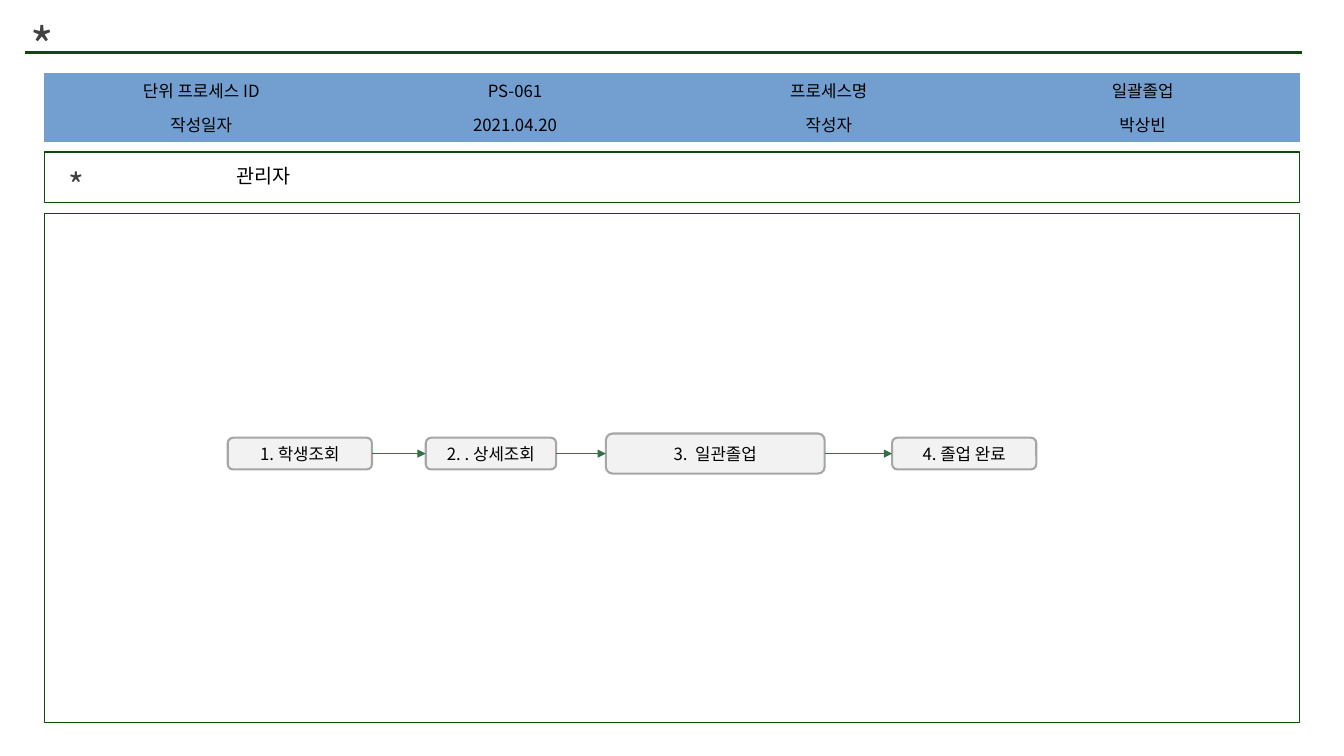
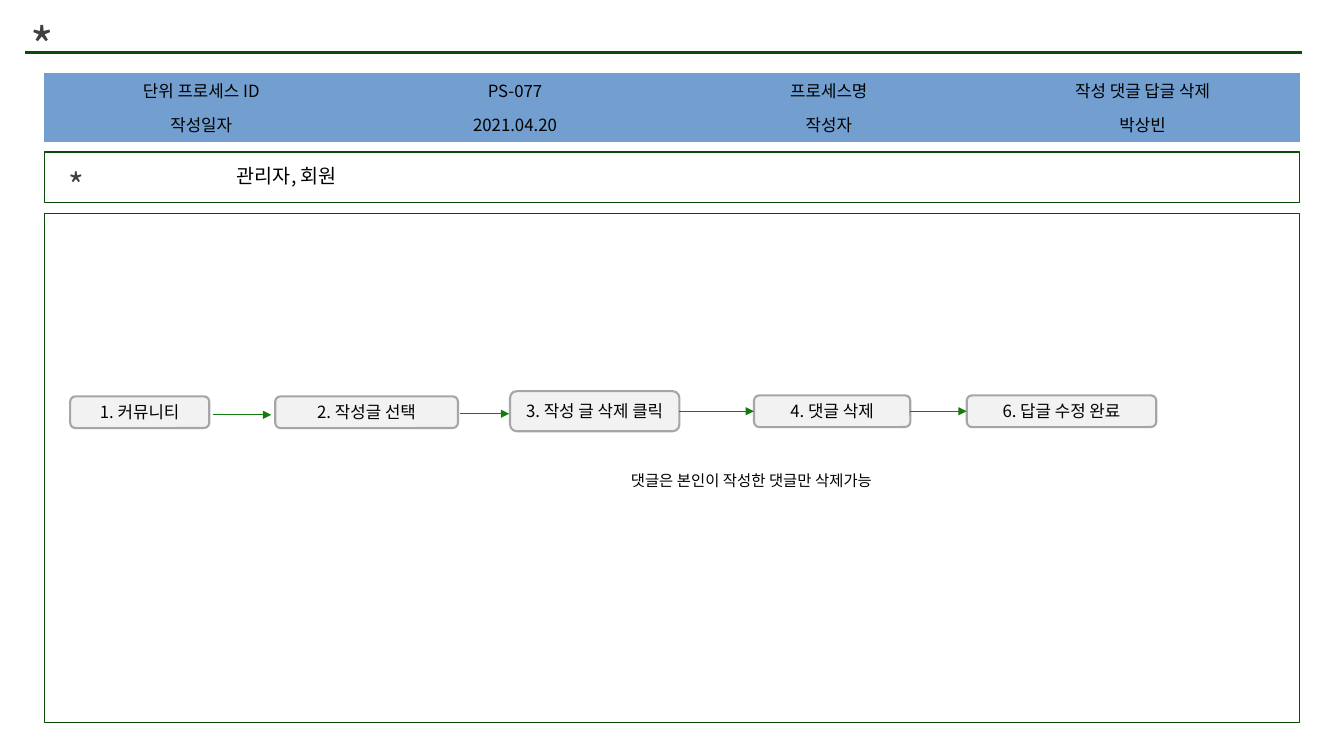
from pptx import Presentation
from pptx import util as u
from pptx.dml.color import RGBColor
from pptx.enum import shapes, text
from pptx.oxml.ns import qn
from lxml import etree

FONT = "Noto Sans CJK KR"
BLACK = RGBColor(0x00, 0x00, 0x00)
STAR_GREY = RGBColor(0x40, 0x40, 0x40)
FRAME_GREEN = RGBColor(0x0C, 0x4B, 0x09)
HEADER_BLUE = RGBColor(0x72, 0x9F, 0xCF)
STEP_FILL = RGBColor(0xF2, 0xF2, 0xF2)
STEP_LINE = RGBColor(0xA6, 0xA6, 0xA6)
NO_TABLE_STYLE = "{2D5ABB26-0587-4C30-8999-92F81FD0307C}"

# All lengths are percentages of the slide's width and height.
MARGIN, CONTENT_WIDTH = 3.3, 93.4
STEP_HEIGHT, TALL_STEP = 4.2, 5.3

PROCESSES = [
    {
        "id": "PS-061", "name": "일괄졸업", "users": "관리자", "note": None,
        "arrow": RGBColor(0x36, 0x6E, 0x45),
        # label, left, width, height, middle
        "steps": [
            ("1. 학생조회", 16.95, 10.73, STEP_HEIGHT, 60),
            ("2. . 상세조회", 31.68, 9.7, STEP_HEIGHT, 60),
            ("3.  일관졸업", 45.08, 16.28, TALL_STEP, 60),
            ("4. 졸업 완료", 66.38, 10.73, STEP_HEIGHT, 60),
        ],
        "loose_arrows": {},
    },
    {
        "id": "PS-077", "name": "작성 댓글 답글 삭제", "users": "관리자, 회원",
        "note": "댓글은 본인이 작성한 댓글만 삭제가능",
        "arrow": RGBColor(0x14, 0x7B, 0x0F),
        "steps": [
            ("1. 커뮤니티", 5.22, 10.35, STEP_HEIGHT, 54.53),
            ("2. 작성글 선택", 20.48, 13.6, STEP_HEIGHT, 54.53),
            ("3. 작성 글 삭제 클릭", 37.95, 12.6, TALL_STEP, 54.4),
            ("4. 댓글 삭제", 56.1, 11.63, STEP_HEIGHT, 54.4),
            ("6. 답글 수정 완료", 71.93, 14.1, STEP_HEIGHT, 54.4),
        ],
        # step before the arrow: start, end, height on the slide
        "loose_arrows": {0: (15.83, 20.18, 54.87), 1: (34.2, 37.88, 54.73)},
    },
]

prs = Presentation()
prs.slide_width, prs.slide_height = u.Inches(13.333), u.Inches(7.5)


def share(left, top, width, height):
    """Turn percentages of the slide into lengths."""
    return [u.Emu(round(percent * side / 100)) for percent, side in
            zip((left, top, width, height), (prs.slide_width, prs.slide_height) * 2)]


def write(frame, words, size, colour=BLACK, align=text.PP_ALIGN.LEFT):
    frame.text = words
    frame.word_wrap = True
    paragraph = frame.paragraphs[0]
    paragraph.alignment = align
    paragraph.font.name = FONT
    paragraph.font.size = u.Pt(size)
    paragraph.font.color.rgb = colour
    # Korean letters take the East Asian typeface
    defaults = paragraph._p.pPr.find(qn("a:defRPr"))
    etree.SubElement(defaults, qn("a:ea"), typeface=FONT)


title_only = prs.slide_layouts[5]
heading = title_only.placeholders[0]
heading.left, heading.top, heading.width, heading.height = share(1.5, 1.33, 3.9, 10.4)

for process in PROCESSES:
    slide = prs.slides.add_slide(title_only)
    canvas = slide.shapes

    title = canvas.title.text_frame
    write(title, "*", 36, STAR_GREY)
    title.vertical_anchor = text.MSO_ANCHOR.TOP
    title.auto_size = text.MSO_AUTO_SIZE.NONE

    rule_left, rule_y, rule_right, _ = share(1.88, 6.93, 96.9, 0)
    title_rule = canvas.add_connector(
        shapes.MSO_CONNECTOR.STRAIGHT, rule_left, rule_y, rule_right, rule_y)
    title_rule.line.color.rgb = FRAME_GREEN
    title_rule.line.width = u.Pt(2.25)
    etree.SubElement(title_rule._element.spPr, qn("a:effectLst"))

    header_rows = [
        ("단위 프로세스 ID", process["id"], "프로세스명", process["name"]),
        ("작성일자", "2021.04.20", "작성자", "박상빈"),
    ]
    header = canvas.add_table(2, 4, *share(MARGIN, 9.6, CONTENT_WIDTH, 9.07)).table
    header.first_row = header.horz_banding = False
    header._tbl.tblPr.find(qn("a:tableStyleId")).text = NO_TABLE_STYLE
    for r, row in enumerate(header_rows):
        for c, words in enumerate(row):
            cell = header.cell(r, c)
            cell.fill.solid()
            cell.fill.fore_color.rgb = HEADER_BLUE
            write(cell.text_frame, words, 12, align=text.PP_ALIGN.CENTER)

    for top, height in ((20.13, 6.67), (28.27, 67.33)):
        panel = canvas.add_shape(shapes.MSO_SHAPE.RECTANGLE,
                                 *share(MARGIN, top, CONTENT_WIDTH, height))
        panel.shadow.inherit = False
        panel.fill.background()
        panel.line.color.rgb = FRAME_GREEN
        panel.line.width = u.Pt(1)

    labels = [
        ("*", 24, STAR_GREY, (4.35, 21.2, 3.9, 7.33)),
        (process["users"], 14, BLACK, (16.88, 21.07, 32.4, 5.07)),
    ]
    if process["note"]:
        labels.append((process["note"], 11, BLACK, (46.2, 61.6, 24.75, 4.27)))
    for words, size, colour, area in labels:
        write(canvas.add_textbox(*share(*area)).text_frame, words, size, colour)

    steps = []
    for words, left, width, height, middle in process["steps"]:
        step = canvas.add_shape(shapes.MSO_SHAPE.ROUNDED_RECTANGLE,
                                *share(left, middle - height / 2, width, height))
        step.shadow.inherit = False
        step.fill.solid()
        step.fill.fore_color.rgb = STEP_FILL
        step.line.color.rgb = STEP_LINE
        step.line.width = u.Pt(1.5)
        inside = step.text_frame
        inside.margin_left = inside.margin_right = u.Inches(0.04)
        inside.margin_top = inside.margin_bottom = u.Inches(0.04)
        inside.vertical_anchor = text.MSO_ANCHOR.MIDDLE
        write(inside, words, 12, align=text.PP_ALIGN.CENTER)
        steps.append(step)

    for i, (before, after) in enumerate(zip(steps, steps[1:])):
        start, y, end, _ = share(*process["loose_arrows"].get(i, (0, 0, 0))[::2],
                                 process["loose_arrows"].get(i, (0, 0, 0))[1], 0)
        arrow = canvas.add_connector(shapes.MSO_CONNECTOR.STRAIGHT, start, y, end, y)
        if i not in process["loose_arrows"]:
            arrow.begin_connect(before, 3)
            arrow.end_connect(after, 1)
        arrow.line.color.rgb = process["arrow"]
        arrow.line.width = u.Pt(0.5)
        etree.SubElement(arrow.line._get_or_add_ln(), qn("a:tailEnd"), type="triangle")
        etree.SubElement(arrow._element.spPr, qn("a:effectLst"))

prs.save("out.pptx")
